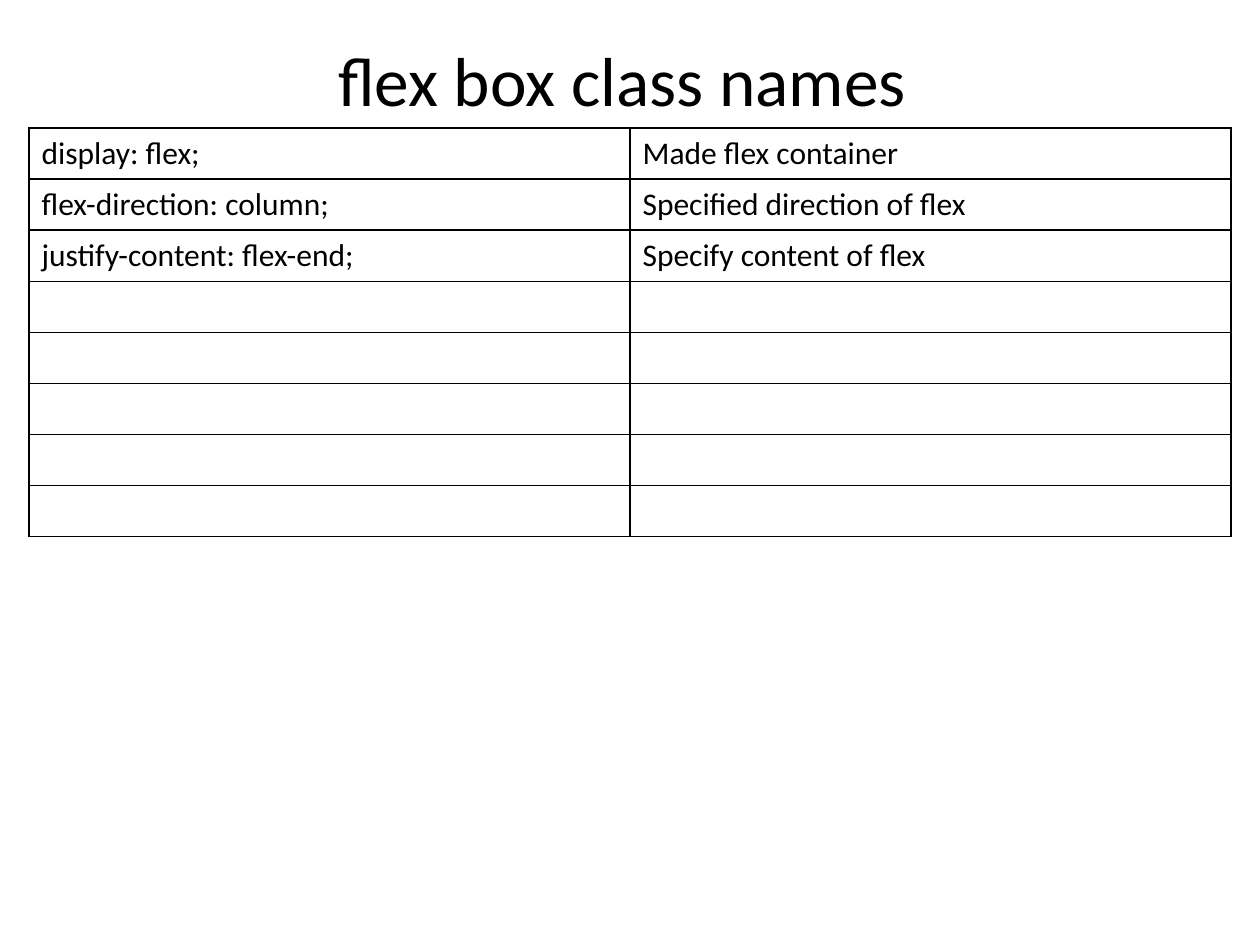
from lxml import etree
from pptx import Presentation
from pptx.dml.color import RGBColor
from pptx.enum.text import MSO_ANCHOR, PP_ALIGN
from pptx.oxml.ns import qn
from pptx.util import Emu, Pt

CENTER = PP_ALIGN.CENTER
MIDDLE = MSO_ANCHOR.MIDDLE
PX = 914400 // 126
FONT = "Calibri"
COLORS = {"text": "000000", "border": "000000"}
ROW_COUNT = 8
ROWS = [
    ("display: flex;", "Made flex container"),
    ("flex-direction: column;", "Specified direction of flex"),
    ("justify-content: flex-end;", "Specify content of flex"),
]


def px(n):
    return Emu(n * PX)


def style_font(font, size):
    font.name = FONT
    font.size = Pt(size)
    font.color.rgb = RGBColor.from_string(COLORS["text"])


def add_run(p, text, size):
    r = p.add_run()
    r.text = text
    style_font(r.font, size)


def add_title(s, text, x, y, w, h):
    sp = s.shapes.add_textbox(px(x), px(y), px(w), px(h))
    tf = sp.text_frame
    tf.word_wrap = True
    tf.vertical_anchor = MIDDLE
    p = tf.paragraphs[0]
    p.alignment = CENTER
    add_run(p, text, 39.6)


def set_borders(cell):
    pr = cell._tc.get_or_add_tcPr()
    for i, side in enumerate(("a:lnL", "a:lnR", "a:lnT", "a:lnB")):
        ln = etree.Element(qn(side), w=str(Pt(1)))
        fill = etree.SubElement(ln, qn("a:solidFill"))
        etree.SubElement(fill, qn("a:srgbClr"), val=COLORS["border"])
        pr.insert(i, ln)


def add_grid(s, rows, row_count, x, y, col_w, row_h):
    col_count = len(rows[0])
    frame = s.shapes.add_table(row_count, col_count, px(x), px(y),
                               px(col_w * col_count), px(row_h * row_count))
    table = frame.table
    table.first_row = False
    table.horz_banding = False
    for col in table.columns:
        col.width = px(col_w)
    for row in table.rows:
        row.height = px(row_h)
    for cell in table.iter_cells():
        cell.fill.background()
        set_borders(cell)
    for i, texts in enumerate(rows):
        for j, text in enumerate(texts):
            add_run(table.cell(i, j).text_frame.paragraphs[0], text, 18)


def main():
    prs = Presentation()
    prs.slide_width, prs.slide_height = px(1260), px(945)
    s = prs.slides.add_slide(prs.slide_layouts[6])
    add_grid(s, ROWS, ROW_COUNT, 29, 128, 601, 51)
    add_title(s, "flex box class names ", 63, 38, 1134, 81)
    prs.save("out.pptx")


if __name__ == "__main__":
    main()
